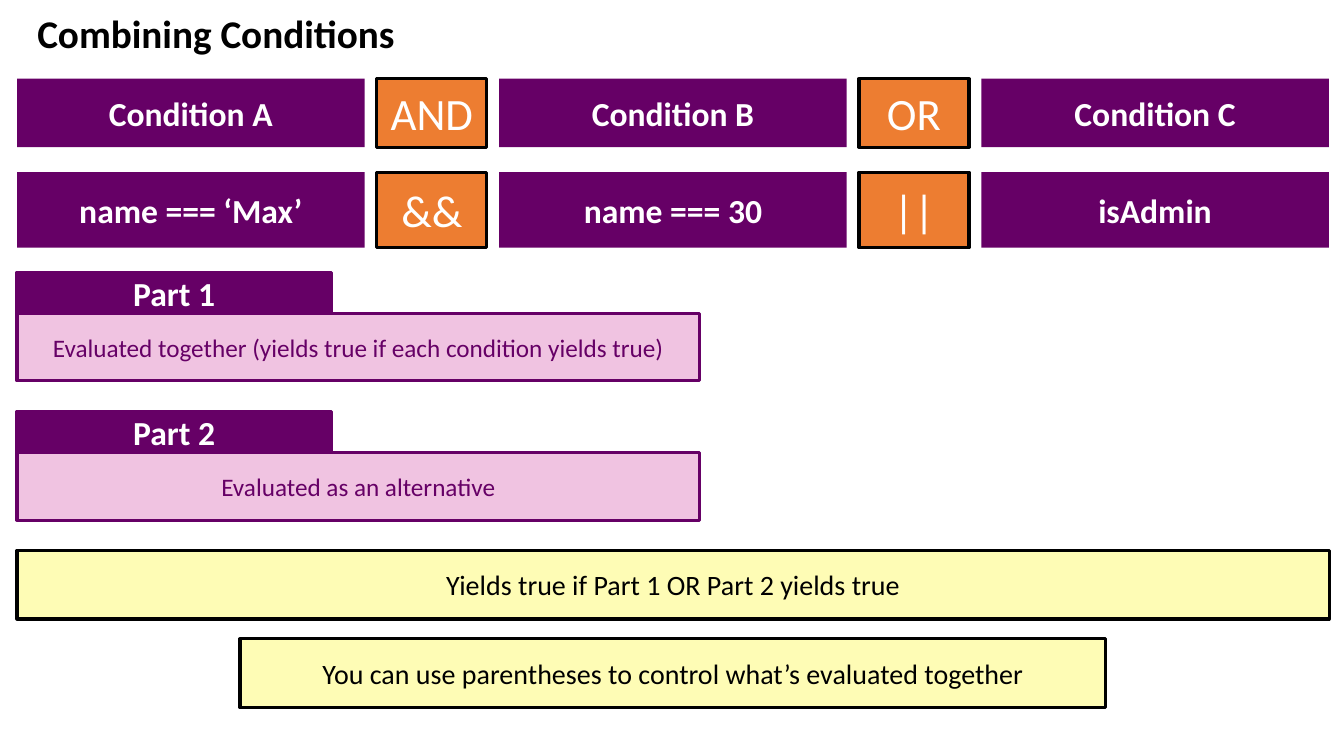
from lxml import etree
from pptx import Presentation
from pptx.dml.color import RGBColor
from pptx.enum.shapes import MSO_SHAPE as SHAPE
from pptx.enum.text import MSO_ANCHOR as ANCHOR, MSO_AUTO_SIZE as AUTO, PP_ALIGN as ALIGN
from pptx.oxml.ns import qn
from pptx.util import Cm, Pt

TITLE = "Combining Conditions"
# Each row: top, height, conditions, operators between them
ROWS = [
    (1.98, 1.73, ["Condition A", "Condition B", "Condition C"], ["AND", "OR"]),
    (4.34, 1.9, ["name === ‘Max’", "name === 30", "isAdmin"], ["&&", "||"]),
]
PARTS = [
    ("Part 1", "Evaluated together (yields true if each condition yields true)"),
    ("Part 2", "Evaluated as an alternative"),
]
# Each note: left, top, width, text
NOTES = [
    (0.43, 13.87, 33.07, "Yields true if Part 1 OR Part 2 yields true"),
    (6.05, 16.1, 21.82, "You can use parentheses to control what’s evaluated together"),
]
COLORS = {"purple": "660066", "pink": "CC3399", "orange": "ED7D31",
          "yellow": "FCF600", "white": "FFFFFF", "black": "000000"}

LEFT = 0.43
CONDITION_W, OPERATOR_W, COLUMN_STEP = 8.76, 2.77, 12.15
OPERATOR_LEFT = LEFT + (COLUMN_STEP + CONDITION_W - OPERATOR_W) / 2
PART_TOP, PART_STEP = 6.86, 3.51
TAB_W, TAB_H, BODY_W, BODY_H = 7.92, 1.04, 17.2, 1.7
NOTE_H = 1.73


def rgb(name):
    """Return the named palette colour."""
    return RGBColor.from_string(COLORS[name])


def write(sp, text, size=24, color="white", bold=False, align=ALIGN.CENTER):
    """Put one formatted paragraph in a shape and return its text frame."""
    tf = sp.text_frame
    tf.word_wrap = True
    p = tf.paragraphs[0]
    p.alignment = align
    r = p.add_run()
    r.text = text
    r.font.name, r.font.size, r.font.bold = "Calibri", Pt(size), bold
    r.font.color.rgb = rgb(color)
    return tf


def add_box(shapes, text, left, top, width, height, fill,
            alpha=None, line=None, **text_format):
    """Add a labelled rectangle; alpha is the fill opacity in percent."""
    sp = shapes.add_shape(SHAPE.RECTANGLE, Cm(left), Cm(top), Cm(width), Cm(height))
    sp.shadow.inherit = False
    sp.fill.solid()
    sp.fill.fore_color.rgb = rgb(fill)
    if alpha:
        color = sp.fill._xPr.find(".//" + qn("a:srgbClr"))
        etree.SubElement(color, qn("a:alpha")).set("val", str(alpha * 1000))
    if line:
        sp.line.color.rgb = rgb(line)
        sp.line.width = Pt(2.25)
    else:
        sp.line.fill.background()
    write(sp, text, **text_format).vertical_anchor = ANCHOR.MIDDLE


prs = Presentation()
prs.slide_width, prs.slide_height = Cm(33.87), Cm(19.05)
s = prs.slides.add_slide(prs.slide_layouts[6])

for top, height, conditions, operators in ROWS:
    for i, text in enumerate(conditions):
        add_box(s.shapes, text, LEFT + i * COLUMN_STEP, top, CONDITION_W, height,
                "purple", bold=True)
    for i, text in enumerate(operators):
        add_box(s.shapes, text, OPERATOR_LEFT + i * COLUMN_STEP, top, OPERATOR_W, height,
                "orange", line="black", size=32)

for i, (heading, text) in enumerate(PARTS):
    top = PART_TOP + i * PART_STEP
    group = s.shapes.add_group_shape()
    add_box(group.shapes, heading, LEFT, top, TAB_W, TAB_H,
            "purple", line="purple", bold=True)
    add_box(group.shapes, text, LEFT, top + TAB_H, BODY_W, BODY_H,
            "pink", alpha=29, line="purple", size=18, color="purple")

for left, top, width, text in NOTES:
    add_box(s.shapes, text, left, top, width, NOTE_H,
            "yellow", alpha=29, line="black", size=20, color="black")

title = s.shapes.add_textbox(Cm(0.69), Cm(0.1), Cm(16.69), Cm(1.45))
tf = write(title, TITLE, size=28, color="black", bold=True, align=ALIGN.LEFT)
tf.auto_size = AUTO.SHAPE_TO_FIT_TEXT

prs.save("out.pptx")
